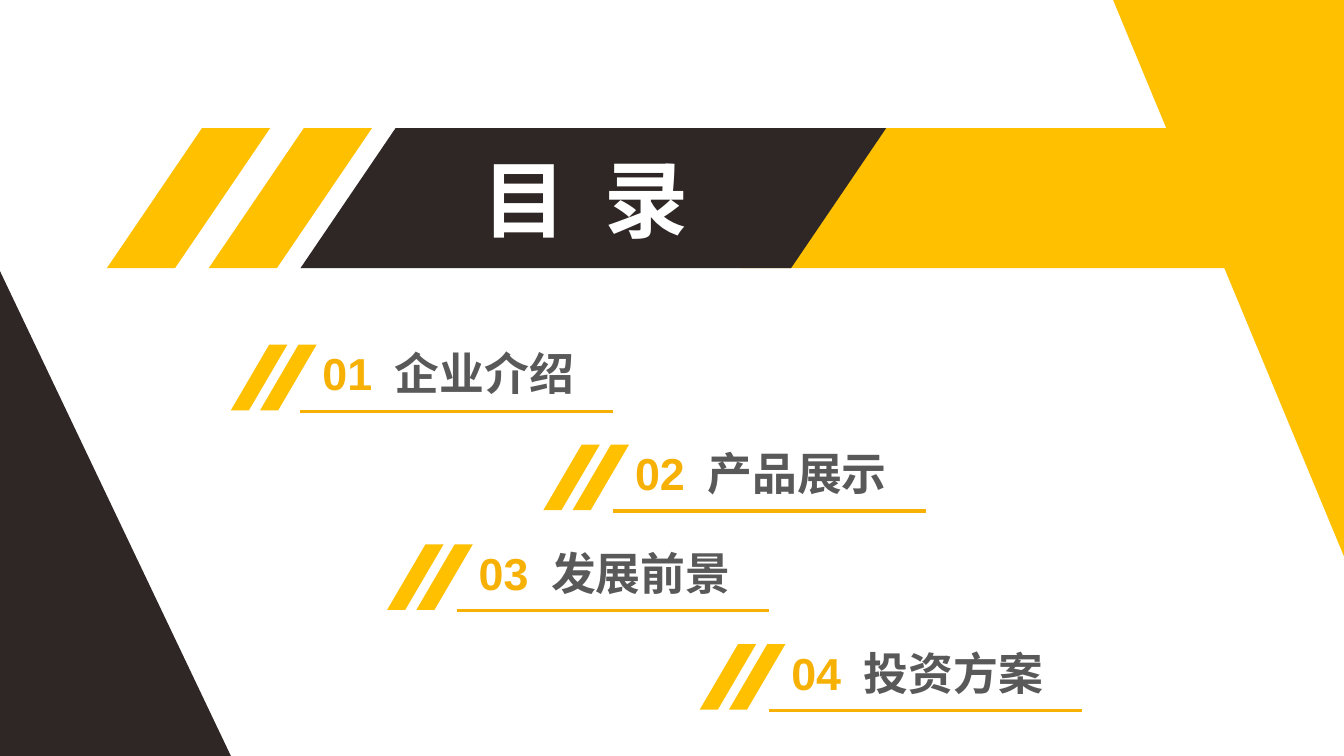
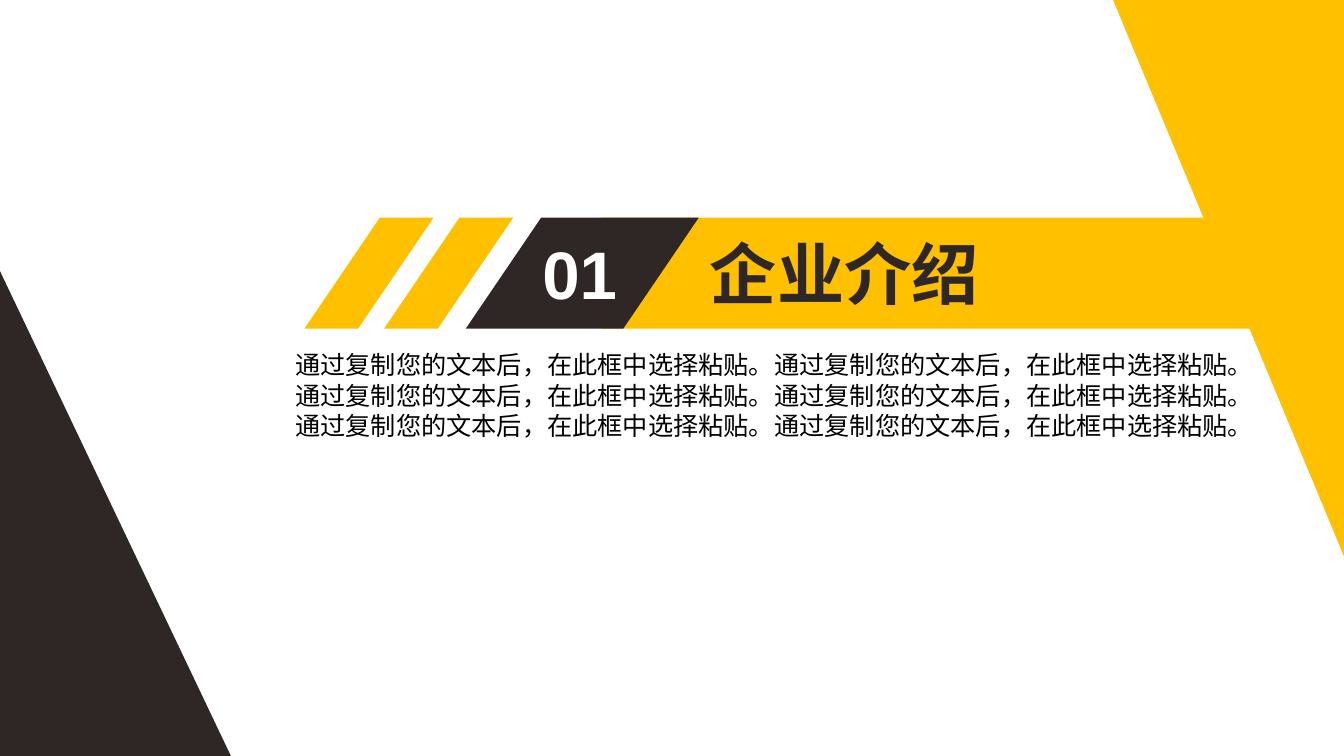
from lxml import etree
from pptx import Presentation
from pptx import util as u
from pptx.dml.color import RGBColor
from pptx.enum import shapes, text
from pptx.oxml.ns import qn

GOLD, AMBER, DARK = "FFC000", "F6B104", "2F2725"
GREY, WHITE, BLACK = "595959", "FFFFFF", "000000"
FONT = "Arial"
SLANT = 0.679
KIND = shapes.MSO_SHAPE


def tint(code):
    return RGBColor.from_string(code)


class Deck:
    def __init__(self):
        self.file = Presentation()
        self.file.slide_width = u.Inches(13.33)
        self.file.slide_height = u.Inches(7.5)
        self.slide = None

    def page(self):
        self.slide = self.file.slides.add_slide(self.file.slide_layouts[6])
        corner = self.shape(KIND.RIGHT_TRIANGLE, 11.04, 0, 2.29, 5.52, GOLD)
        corner.rotation = 180
        self.shape(KIND.RIGHT_TRIANGLE, 0, 2.69, 2.29, 4.81, DARK)

    def shape(self, kind, x, y, w, h, fill):
        item = self.slide.shapes.add_shape(kind, *map(u.Inches, (x, y, w, h)))
        item.shadow.inherit = False
        item.fill.solid()
        item.fill.fore_color.rgb = tint(fill)
        item.line.fill.background()
        return item

    def slash(self, x, y, w, h, fill=GOLD):
        self.shape(KIND.PARALLELOGRAM, x, y, w, h, fill).adjustments[0] = SLANT

    def band(self, y, h, bar, dark, marks, width):
        self.shape(KIND.RECTANGLE, bar[0], y, bar[1], h, GOLD)
        self.slash(dark[0], y, dark[1], h, DARK)
        for x in marks:
            self.slash(x, y, width, h)

    def box(self, x, y, w, h, paras, size, color, bold=True, align=None, grow=False):
        item = self.slide.shapes.add_textbox(*map(u.Inches, (x, y, w, h)))
        frame = item.text_frame
        frame.word_wrap = True
        if grow:
            frame.auto_size = text.MSO_AUTO_SIZE.SHAPE_TO_FIT_TEXT
        for i, words in enumerate(paras):
            para = frame.paragraphs[0] if i == 0 else frame.add_paragraph()
            para.alignment = align
            font = para.font
            font.name, font.size, font.bold = FONT, u.Pt(size), bold
            font.color.rgb = tint(color)
            for word in words:
                para.add_run().text = word
        return frame

    def head(self, x, y, w, h, words, size, color):
        return self.box(x, y, w, h, [words], size, color,
                        align=text.PP_ALIGN.CENTER, grow=True)

    def space(self, run, points):
        run._r.get_or_add_rPr().set("spc", str(round(points * 100)))

    def rule(self, x, y, w):
        line = self.slide.shapes.add_connector(
            shapes.MSO_CONNECTOR.STRAIGHT, *map(u.Inches, (x, y, x + w, y)))
        line.line.color.rgb = tint(AMBER)
        line.line.width = u.Pt(2.25)
        etree.SubElement(line._element.spPr, qn("a:effectLst"))

    def entry(self, x, y, number, name):
        for left in (x + 0.29, x):
            self.slash(left, y, 0.56, 0.65)
        frame = self.box(x + 0.81, y + 0.09, 3.16, 0.38,
                         [(number, " ", name)], 32, AMBER)
        frame.vertical_anchor = text.MSO_ANCHOR.MIDDLE
        runs = frame.paragraphs[0].runs
        self.space(runs[1], 7.2)
        runs[2].font.color.rgb = tint(GREY)
        self.rule(x + 0.69, y + 0.66, 3.1)


def main():
    deck = Deck()
    topics = ("企业介绍", "产品展示", "发展前景", "投资方案")

    deck.page()
    deck.band(1.27, 1.39, (7.35, 5.98), (2.98, 5.81), (2.07, 1.06), 1.62)
    title = deck.head(4.02, 1.41, 3.57, 1.11, ("目", " ", "录"), 60, WHITE)
    deck.space(title.paragraphs[0].runs[1], 13.4)
    for i, (step, name) in enumerate(zip((0, 2, 1, 3), topics)):
        deck.entry(2.29 + 1.55 * step, 3.42 + 0.99 * i, f"{i + 1:02}", name)

    deck.page()
    deck.band(2.16, 1.1, (5.97, 6.83), (4.62, 2.31), (3.81, 3.02), 1.28)
    deck.head(6.59, 2.26, 3.57, 0.91, (topics[0],), 48, DARK)
    deck.head(5.01, 2.26, 1.48, 0.91, ("01",), 48, WHITE)
    phrase = "通过复制您的文本后，在此框中选择粘贴。"
    deck.box(2.83, 3.42, 9.68, 0.97, [(phrase * 4,), (phrase * 2,)],
             18, BLACK, bold=False)

    deck.file.save("out.pptx")


if __name__ == "__main__":
    main()
